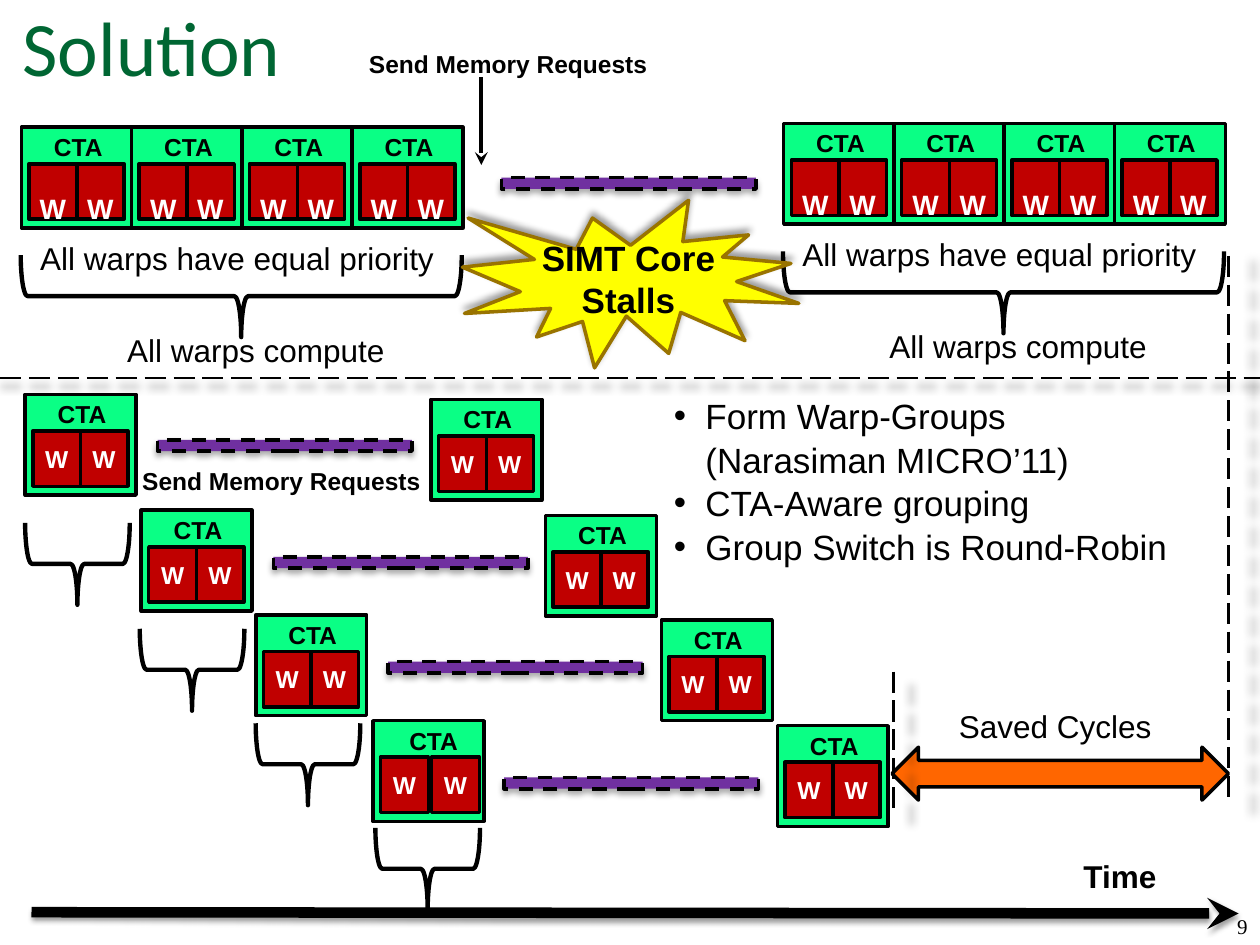
"""Build the slide that compares equal-priority warps with CTA-aware warp groups."""
from lxml.etree import SubElement
from pptx import Presentation
from pptx.dml.color import RGBColor
from pptx.enum.dml import MSO_LINE
from pptx.enum.shapes import MSO_CONNECTOR, MSO_SHAPE
from pptx.enum.text import MSO_ANCHOR, PP_ALIGN
from pptx.oxml.ns import qn
from pptx.util import Inches, Pt

BLACK = RGBColor(0, 0, 0)
WHITE = RGBColor(0xFF, 0xFF, 0xFF)
TITLE_GREEN = RGBColor(0x00, 0x66, 0x33)
CTA_GREEN = RGBColor(0x0A, 0xFF, 0x85)
WARP_RED = RGBColor(0xC0, 0x00, 0x00)
MEMORY_PURPLE = RGBColor(0x70, 0x30, 0xA0)
SAVED_ORANGE = RGBColor(0xFF, 0x66, 0x00)
STALL_YELLOW = RGBColor(0xFF, 0xFF, 0x00)
STALL_BORDER = RGBColor(0x99, 0x73, 0x00)

CARD_W, CARD_H = 0.88, 0.8
CARD_STEP = 0.875
BRACE_DEPTH = 0.65
BAR_SHADOW = (32, 3.5, 2.2, 90)
DIVIDER_SHADOW = (40, 5, 0, 0, 102)

FIRST_CARDS = [(0.2, 3.13), (1.12, 4.05), (2.03, 4.88), (2.96, 5.72)]
LATER_CARDS = [(3.42, 3.17), (4.33, 4.09), (5.25, 4.92), (6.17, 5.76)]
BRACES = [(0.29, 4.06), (1.2, 4.9), (2.12, 5.65), (3.07, 6.48)]
BARS = [(3.98, 1.41), (1.25, 3.49), (2.17, 4.42), (3.08, 5.25), (4, 6.17)]
BULLETS = [
    ("Form Warp-Groups", True),
    ("(Narasiman MICRO’11)", False),
    ("CTA-Aware grouping", True),
    ("Group Switch is Round-Robin", True),
]


def add_shadow(sp, alpha, blur, dist, angle, scale=100):
    """Give a shape or connector a black outer shadow."""
    spPr = sp._element.spPr
    effects = spPr.find(qn("a:effectLst"))
    if effects is None:
        effects = SubElement(spPr, qn("a:effectLst"))
    shadow = SubElement(
        effects, qn("a:outerShdw"), blurRad=str(Pt(blur)), dist=str(Pt(dist)),
        dir=str(angle * 60000), sx=str(scale * 1000), sy=str(scale * 1000),
        algn="ctr", rotWithShape="0")
    color = SubElement(shadow, qn("a:srgbClr"), val=str(BLACK))
    SubElement(color, qn("a:alpha"), val=str(alpha * 1000))


def add_run(p, text, size, bold=False, color=BLACK, font="Arial"):
    """Add one formatted run to a paragraph."""
    r = p.add_run()
    r.text = text
    r.font.size, r.font.bold, r.font.name = Pt(size), bold, font
    r.font.color.rgb = color


def add_text(shapes, text, x, y, w, h, size, align=PP_ALIGN.LEFT, wrap=True, **style):
    """Add a one-paragraph text box and return its frame."""
    tf = shapes.add_textbox(Inches(x), Inches(y), Inches(w), Inches(h)).text_frame
    tf.word_wrap = wrap
    tf.paragraphs[0].alignment = align
    add_run(tf.paragraphs[0], text, size, **style)
    return tf


def add_box(shapes, kind, x, y, w, h, fill=None, line=BLACK, width=2):
    """Add a preset shape with an outline and an optional fill."""
    sp = shapes.add_shape(kind, Inches(x), Inches(y), Inches(w), Inches(h))
    sp.shadow.inherit = False
    if fill is None:
        sp.fill.background()
    else:
        sp.fill.solid()
        sp.fill.fore_color.rgb = fill
    sp.line.color.rgb = line
    sp.line.width = Pt(width)
    return sp


def add_label(sp, text, size, color, top=0.05, bottom=0.05):
    """Write a bold centred label inside a shape."""
    tf = sp.text_frame
    tf.word_wrap = True
    tf.vertical_anchor = MSO_ANCHOR.MIDDLE
    tf.margin_left = tf.margin_right = 0
    tf.margin_top, tf.margin_bottom = Inches(top), Inches(bottom)
    tf.paragraphs[0].alignment = PP_ALIGN.CENTER
    add_run(tf.paragraphs[0], text, size, bold=True, color=color)


def add_card(shapes, x, y, size=14, top=0.05, bottom=0.05, shift=0):
    """Add a CTA card holding two warps."""
    add_box(shapes, MSO_SHAPE.RECTANGLE, x, y, CARD_W, CARD_H, CTA_GREEN)
    for dx in (0.435 + shift, 0.06):
        warp = add_box(shapes, MSO_SHAPE.RECTANGLE, x + dx, y + 0.29, 0.38, 0.44, WARP_RED)
        add_label(warp, "W", size, WHITE, top, bottom)
    add_text(shapes, "CTA", x + 0.16 + shift, y - 0.01, 0.6, 0.34, 14, wrap=False, bold=True)


def add_brace(shapes, x, y, span):
    """Add a brace that points down."""
    add_box(shapes, MSO_SHAPE.LEFT_BRACE, x, y, BRACE_DEPTH, span, width=2.5).rotation = 270


def add_equal_priority_block(shapes, x, y):
    """Add four joined CTA cards with their brace and captions."""
    group = shapes.add_group_shape().shapes
    for i in range(4):
        add_card(group, x + i * CARD_STEP, y, size=16, top=0.18, bottom=-0.08)
    add_brace(group, x + 1.42, y - 0.41, 3.5)
    add_text(group, "All warps compute", x + 0.4, y + 1.57, 2.92, 0.4, 18, PP_ALIGN.CENTER)
    add_text(shapes, "All warps have equal priority", x + 0.05, y + 0.84, 3.5, 0.4, 18)


def add_memory_bar(shapes, x, y):
    """Add a dashed bar for the memory latency."""
    bar = add_box(shapes, MSO_SHAPE.RECTANGLE, x, y, 2.02, 0.09, MEMORY_PURPLE)
    bar.line.dash_style = MSO_LINE.DASH
    add_shadow(bar, *BAR_SHADOW)


def add_line(shapes, x1, y1, x2, y2, width, dash=None, arrow=False, shadow=None):
    """Add a straight line with optional dashes, arrowhead and shadow."""
    line = shapes.add_connector(
        MSO_CONNECTOR.STRAIGHT, Inches(x1), Inches(y1), Inches(x2), Inches(y2))
    line.line.color.rgb = BLACK
    line.line.width = Pt(width)
    if dash:
        line.line.dash_style = dash
    if arrow:
        SubElement(line.line._get_or_add_ln(), qn("a:tailEnd"), type="stealth")
    if shadow:
        add_shadow(line, *shadow)
    else:
        SubElement(line._element.spPr, qn("a:effectLst"))


def add_bullets(shapes):
    """Add the list that describes the solution."""
    tf = shapes.add_textbox(Inches(5.25), Inches(3.08), Inches(4.42), Inches(1.78)).text_frame
    tf.word_wrap = True
    for i, (text, bulleted) in enumerate(BULLETS):
        p = tf.paragraphs[0] if i == 0 else tf.add_paragraph()
        pPr = p._p.get_or_add_pPr()
        pPr.set("marL", str(Inches(0.25)))
        if bulleted:
            pPr.set("indent", str(Inches(-0.25)))
            SubElement(pPr, qn("a:buFont"), typeface="Arial")
            SubElement(pPr, qn("a:buChar"), char="•")
        if i:
            p.space_before = Pt(1)
        add_run(p, text, 20)


def main():
    """Build and save the slide."""
    prs = Presentation()
    prs.slide_width, prs.slide_height = Inches(10), Inches(7.5)
    s = prs.slides.add_slide(prs.slide_layouts[6]).shapes

    tf = add_text(s, "Solution", 0.08, -0.1, 9.58, 0.83, 44, color=TITLE_GREEN, font="Calibri")
    tf.vertical_anchor, tf.margin_bottom = MSO_ANCHOR.BOTTOM, 0
    tf = add_text(s, "9", 7.67, 7, 2.33, 0.5, 12, PP_ALIGN.RIGHT, font="Times New Roman")
    tf.vertical_anchor = MSO_ANCHOR.BOTTOM

    for i, (x, y) in enumerate(FIRST_CARDS):
        add_card(s, x, y, shift=0.03 if i == 3 else 0)
    for x, y in BRACES:
        add_brace(s, x, y, 0.83)
    for x, y in LATER_CARDS:
        add_card(s, x, y)
    add_text(s, "Send Memory Requests", 1.03, 3.65, 3.08, 0.34, 14, bold=True)

    add_box(s, MSO_SHAPE.LEFT_RIGHT_ARROW, 7.08, 5.93, 2.67, 0.42, SAVED_ORANGE)
    add_text(s, "Saved Cycles", 7.25, 5.56, 2.25, 0.4, 18, PP_ALIGN.CENTER)

    add_equal_priority_block(s, 0.17, 1.01)
    add_equal_priority_block(s, 6.22, 0.98)
    add_text(s, "Send Memory Requests", 2.83, 0.34, 2.42, 0.34, 14, wrap=False, bold=True)
    stall = add_box(s, MSO_SHAPE.EXPLOSION1, 3.67, 1.59, 2.67, 1.33, STALL_YELLOW, STALL_BORDER)
    add_shadow(stall, 40, 4, 3, 270)
    add_label(stall, "SIMT Core Stalls", 20, BLACK)
    add_line(s, 3.82, 0.61, 3.82, 1.31, 2.5, arrow=True)

    for x, y in BARS:
        add_memory_bar(s, x, y)
    add_line(s, 0.25, 7.24, 9.83, 7.25, 6, arrow=True, shadow=(38, 3.1, 1.6, 90))
    add_text(s, "Time", 8.5, 6.75, 1.75, 0.4, 18, bold=True)
    for ends in ((0, 3, 10, 3), (7.09, 5.33, 7.09, 6.42), (9.75, 2.03, 9.75, 6.35)):
        add_line(s, *ends, 1.5, dash=MSO_LINE.LONG_DASH, shadow=DIVIDER_SHADOW)
    add_bullets(s)

    prs.save("out.pptx")


if __name__ == "__main__":
    main()
